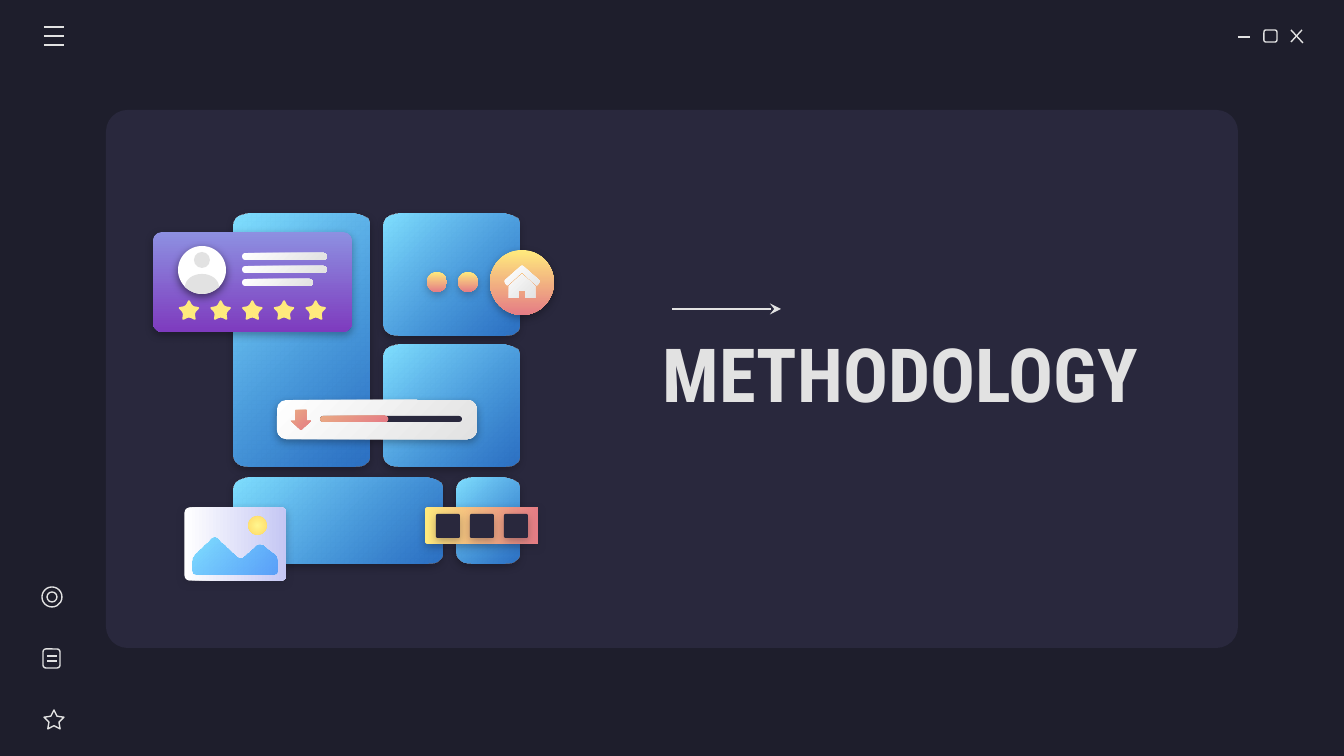
import math

from lxml import etree
from pptx import Presentation
from pptx import util as u
from pptx.dml.color import RGBColor
from pptx.enum import shapes, text
from pptx.oxml.ns import qn

PX = 914400 / 134.4
S = shapes.MSO_SHAPE
COLORS = {
    "night": "1E1E2C", "panel": "29283D", "light": "E2E2E2", "white": "FFFFFF",
    "black": "000000", "sky": "80DFFF", "blue": "318FFA", "lilac": "8D90E1",
    "purple": "7E3BBE", "yellow": "FFEA7D", "coral": "E57C85", "peach": "E9A984",
    "lavender": "C5C7F4", "lemon": "FFF68E", "gold": "FFD966",
}
ALPHA = {"blue": 72}
SKY = ("sky", "blue", 45)
SILVER = ("white", "light", 45)
SUNSET = ("yellow", "coral", 90)
EMBER = ("peach", "coral", 45)
SUN = ("lemon", "gold", "circle")
SOFT = ("black", 30)
DARK = ("night", 30)


def px(n):
    return u.Emu(round(n * PX))


def rgb(name):
    return RGBColor.from_string(COLORS[name])


def sub(parent, tag, **attrs):
    return etree.SubElement(parent, qn(tag), {k: str(v) for k, v in attrs.items()})


def arc(cx, cy, rx, ry, start, end, steps=16):
    angles = [math.radians(start + (end - start) * i / steps) for i in range(steps + 1)]
    return [(cx + rx * math.cos(a), cy + ry * math.sin(a)) for a in angles]


def rounded(points, cut_x, cut_y=None, steps=8):
    cut_y = cut_y or cut_x
    result = []
    for i, (x, y) in enumerate(points):
        ends = []
        for nx, ny in (points[i - 1], points[(i + 1) % len(points)]):
            d = math.hypot(nx - x, ny - y)
            ends.append((x + (nx - x) / d * cut_x, y + (ny - y) / d * cut_y))
        (ax, ay), (bx, by) = ends
        for t in (k / steps for k in range(steps + 1)):
            a, c, b = (1 - t) ** 2, 2 * t * (1 - t), t * t
            result.append((a * ax + c * x + b * bx, a * ay + c * y + b * by))
    return result


def star(cx, cy, outer, inner):
    turns = [(outer if i % 2 == 0 else inner, math.radians(36 * i - 90)) for i in range(10)]
    return [(cx + r * math.cos(a), cy + r * math.sin(a)) for r, a in turns]


def rect(x, y, w, h):
    return [(x, y), (x + w, y), (x + w, y + h), (x, y + h)]


class Canvas:
    def __init__(self, slide, stroke="light", weight=0.75, font="Roboto Condensed"):
        self.s, self.stroke, self.weight, self.font = slide, stroke, weight, font

    def gradient(self, sp, first, last, angle):
        sp.fill.gradient()
        for stop, name in zip(sp.fill.gradient_stops, (first, last)):
            stop.color.rgb = rgb(name)
        for clr in sp._element.spPr.iter(qn("a:srgbClr")):
            for name in (first, last):
                if name in ALPHA and clr.get("val") == COLORS[name]:
                    sub(clr, "a:alpha", val=ALPHA[name] * 1000)
        if angle != "circle":
            sp.fill.gradient_angle = (360 - angle) % 360
            return
        lin = next(sp._element.spPr.iter(qn("a:lin")))
        radial = sub(lin.getparent(), "a:path", path="circle")
        sub(radial, "a:fillToRect", l=50000, t=50000, r=50000, b=50000)
        lin.getparent().remove(lin)

    def paint(self, sp, fill, shadow):
        sp.shadow.inherit = False
        if fill is None:
            sp.fill.background()
            sp.line.color.rgb = rgb(self.stroke)
            sp.line.width = u.Pt(self.weight)
        else:
            sp.line.fill.background()
            if isinstance(fill, tuple):
                self.gradient(sp, *fill)
            else:
                sp.fill.solid()
                sp.fill.fore_color.rgb = rgb(fill)
        if shadow:
            name, alpha = shadow
            effects = sp._element.spPr.find(qn("a:effectLst"))
            outer = sub(effects, "a:outerShdw", blurRad=u.Pt(4.5), dist=u.Pt(1.5),
                        dir=5400000, algn="bl", rotWithShape=0)
            sub(sub(outer, "a:srgbClr", val=COLORS[name]), "a:alpha", val=alpha * 1000)

    def shape(self, kind, x, y, w, h, fill=None, adj=(), shadow=None, rot=0):
        sp = self.s.shapes.add_shape(kind, px(x), px(y), px(w), px(h))
        for i, value in enumerate(adj):
            sp.adjustments[i] = value
        sp.rotation = rot
        self.paint(sp, fill, shadow)

    def outline(self, *contours, fill=None, shadow=None):
        first, *others = [[(px(x), px(y)) for x, y in c] for c in contours]
        fb = self.s.shapes.build_freeform(*first[0])
        fb.add_line_segments(first[1:], close=True)
        for points in others:
            fb.move_to(*points[0])
            fb.add_line_segments(points[1:], close=True)
        self.paint(fb.convert_to_shape(), fill, shadow)

    def line(self, x1, y1, x2, y2, tail=None):
        c = self.s.shapes.add_connector(shapes.MSO_CONNECTOR.STRAIGHT,
                                        px(x1), px(y1), px(x2), px(y2))
        c.line.color.rgb = rgb(self.stroke)
        c.line.width = u.Pt(self.weight)
        if tail:
            sub(c.line._get_or_add_ln(), "a:tailEnd", type=tail)
        sub(c._element.spPr, "a:effectLst")

    def text(self, words, x, y, w, h, size=12, color="light", bold=False, inset=13):
        tf = self.s.shapes.add_textbox(px(x), px(y), px(w), px(h)).text_frame
        tf.word_wrap = True
        tf.vertical_anchor = text.MSO_ANCHOR.MIDDLE
        tf.margin_left = tf.margin_right = tf.margin_top = tf.margin_bottom = px(inset)
        r = tf.paragraphs[0].add_run()
        r.text = words
        r.font.name, r.font.size, r.font.bold = self.font, u.Pt(size), bold
        r.font.color.rgb = rgb(color)


def window_frame(c):
    c.shape(S.ROUNDED_RECTANGLE, 106, 110, 1132, 538, "panel", [0.04])
    c.line(1238, 37, 1250, 37)
    c.shape(S.ROUNDED_RECTANGLE, 1264, 30, 13, 12)
    c.line(1291, 30, 1303, 43)
    c.line(1302, 30, 1291, 42)


def side_icons(c):
    for y in (27, 36, 45):
        c.line(44, y, 64, y)
    c.shape(S.STAR_5_POINT, 44, 710, 20, 19, adj=[0.25])
    c.shape(S.ROUNDED_RECTANGLE, 43, 649, 17, 19)
    for y in (656, 661):
        c.line(47, y, 57, y)
    c.shape(S.OVAL, 42, 587, 20, 20)
    c.shape(S.OVAL, 47, 592, 10, 10)


def tiles(c):
    for box in ((384, 214, 135, 122), (234, 214, 136, 253), (384, 345, 135, 122),
                (456, 478, 63, 86), (234, 478, 208, 86)):
        c.outline(rounded(rect(*box), 19, 12), fill=SKY, shadow=("black", 32))


def review_card(c):
    c.shape(S.ROUNDED_RECTANGLE, 153, 232, 199, 100, ("lilac", "purple", 90), [0.09], SOFT)
    c.shape(S.OVAL, 178, 246, 48, 48, "white", shadow=("black", 50))
    c.shape(S.OVAL, 194, 252, 16, 16, "light")
    c.outline(arc(202, 287, 17, 13, 180, 360) + arc(202, 270, 24, 24, 45, 135), fill="light")
    for i in range(5):
        c.outline(rounded(star(189 + 31.7 * i, 311, 12, 6), 3), fill="yellow")
    for i, width in enumerate((85, 85, 71)):
        c.shape(S.ROUNDED_RECTANGLE, 242, 253 + 13 * i, width, 7, SILVER, [0.5])


def download_bar(c):
    c.shape(S.ROUNDED_RECTANGLE, 277, 400, 200, 39, SILVER, [0.24], SOFT)
    for width, fill in ((142, "panel"), (68, EMBER)):
        c.shape(S.ROUNDED_RECTANGLE, 320, 416, width, 6, fill, [0.5])
    c.shape(S.DOWN_ARROW, 291, 410, 20, 20, EMBER, [0.55, 0.45])


def photo_card(c):
    c.shape(S.ROUNDED_RECTANGLE, 199, 493, 73, 102, ("white", "lavender", 90), [0.07], DARK, 270)
    hills = [(193, 557), (215, 536), (240, 560), (259, 543), (277, 557), (277, 575), (193, 575)]
    c.outline(rounded(hills, 6), fill=SKY)
    c.shape(S.OVAL, 248, 516, 19, 19, SUN)


def film_strip(c):
    c.shape(S.ROUNDED_RECTANGLE, 463, 469, 37, 113, SUNSET, [0.07], DARK, 270)
    for i in range(3):
        c.shape(S.ROUNDED_RECTANGLE, 436 + 34 * i, 514, 24, 24, "panel", [0.07], DARK)


def home_badge(c):
    c.shape(S.OVAL, 490, 250, 64, 65, SUNSET, shadow=SOFT)
    roof = [(522, 265), (540, 281), (537, 286), (522, 272), (507, 286), (504, 281)]
    walls = [(522, 274), (535, 286), (535, 298), (525, 298), (525, 291),
             (519, 291), (519, 298), (509, 298), (509, 286)]
    c.outline(rounded(roof, 2), walls, fill=SILVER)
    for x in (458, 427):
        c.shape(S.OVAL, x, 272, 20, 20, SUNSET, shadow=DARK)


def main():
    prs = Presentation()
    prs.slide_width, prs.slide_height = px(1344), px(756)
    s = prs.slides.add_slide(prs.slide_layouts[6])
    s.background.fill.solid()
    s.background.fill.fore_color.rgb = rgb("night")
    c = Canvas(s)
    window_frame(c)
    tiles(c)
    side_icons(c)
    c.text("METHODOLOGY", 650, 314, 532, 117, size=40, bold=True)
    c.line(672, 309, 781, 309, tail="stealth")
    for draw in (review_card, download_bar, photo_card, film_strip, home_badge):
        draw(c)
    prs.save("out.pptx")


if __name__ == "__main__":
    main()
